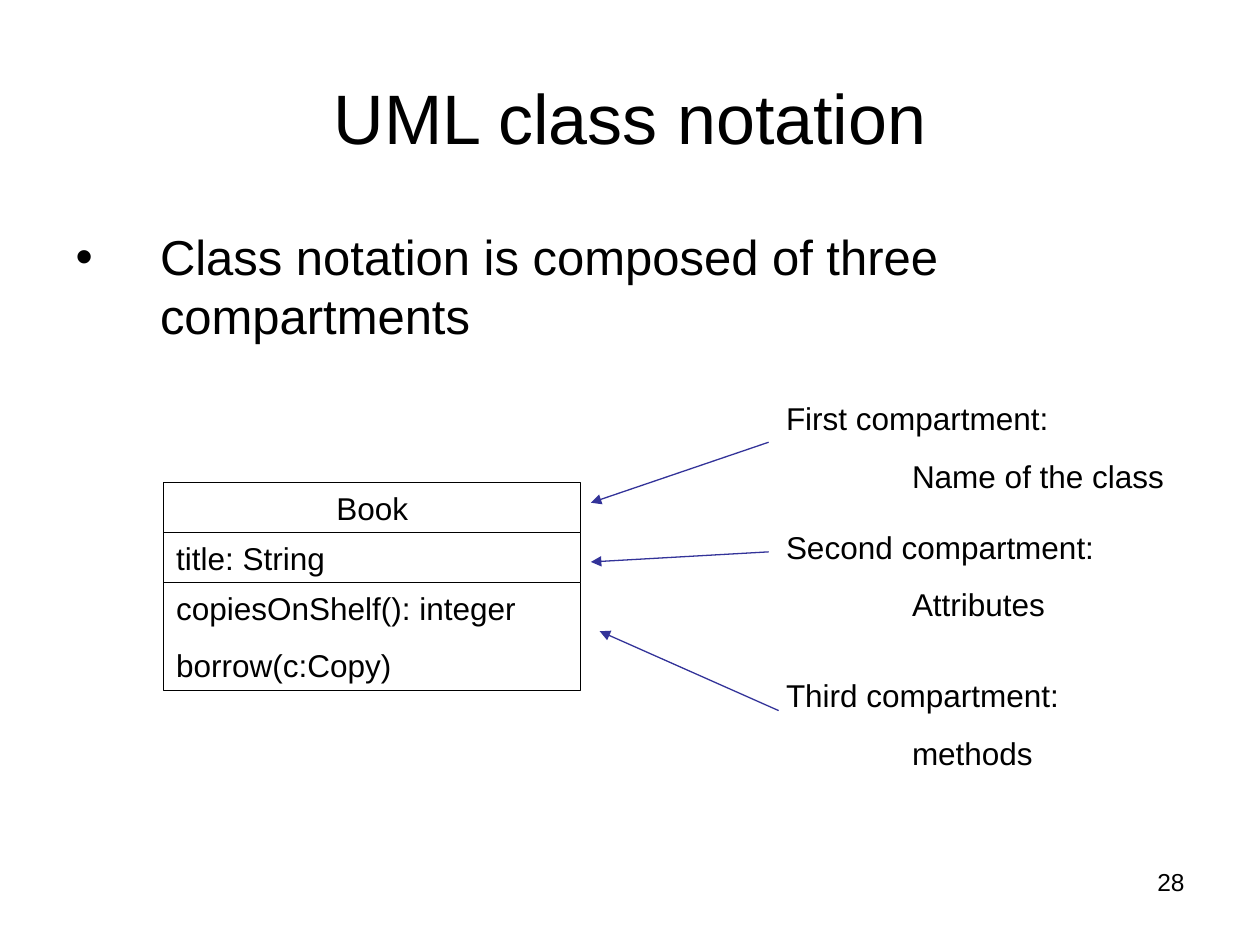
import pptx
import pptx.dml.color
import pptx.enum.shapes
import pptx.enum.text
import pptx.oxml
import pptx.oxml.ns
import pptx.util
from pptx.util import Inches

COLORS = {"text": "000000", "paper": "FFFFFF", "arrow": "333399"}
ALIGN = pptx.enum.text.PP_ALIGN


def rgb(name):
    """Return the named colour."""
    return pptx.dml.color.RGBColor.from_string(COLORS[name])


def place(shape, box):
    """Move a shape to a (left, top, width, height) box."""
    shape.left, shape.top, shape.width, shape.height = map(Inches, box)


def add_xml(parent, xml):
    """Append a DrawingML element to its parent."""
    parent.append(pptx.oxml.parse_xml(xml.replace("/>", f' {pptx.oxml.ns.nsdecls("a")}/>', 1)
                                      if xml.endswith("/>") and xml.count("<") == 1
                                      else xml.replace(">", f' {pptx.oxml.ns.nsdecls("a")}>', 1)))


def write(frame, lines, size, align=ALIGN.LEFT):
    """Write lines as paragraphs, with tabbed lines stopping at one inch."""
    frame.word_wrap = True
    for index, line in enumerate(lines):
        paragraph = frame.paragraphs[0] if index == 0 else frame.add_paragraph()
        paragraph.alignment = align
        paragraph.space_before = pptx.util.Pt(11.2 if index else 0)
        if line.startswith("\t"):
            add_xml(paragraph._p.get_or_add_pPr(),
                    f'<a:tabLst><a:tab pos="{Inches(1)}" algn="l"/></a:tabLst>')
        run = paragraph.add_run()
        run.text = line
        run.font.name = "Arial"
        run.font.size = pptx.util.Pt(size)
        run.font.color.rgb = rgb("text")


def add_title(slide, box, title):
    """Fill the title placeholder."""
    heading = slide.shapes.title
    place(heading, box)
    heading.text_frame.vertical_anchor = pptx.enum.text.MSO_ANCHOR.MIDDLE
    write(heading.text_frame, [title], 40, ALIGN.CENTER)


def add_body(slide, box, statement):
    """Fill the body placeholder with one bulleted statement."""
    body = slide.placeholders[1]
    place(body, box)
    properties = body.text_frame.paragraphs[0]._p.get_or_add_pPr()
    properties.set("marL", str(Inches(0.67)))
    properties.set("indent", str(Inches(-0.67)))
    add_xml(properties, '<a:buChar char="•"/>')
    write(body.text_frame, [statement], 28)


def add_class(slide, box, compartments):
    """Stack class compartments, sharing the box height by their line counts."""
    left, top, width, height = box
    line_pitch = 0.46
    total_lines = sum(len(lines) for lines, _ in compartments)
    padding = (height - line_pitch * (total_lines - len(compartments))) / len(compartments)
    for lines, align in compartments:
        depth = padding + line_pitch * (len(lines) - 1)
        compartment = slide.shapes.add_shape(
            pptx.enum.shapes.MSO_SHAPE.RECTANGLE,
            *map(Inches, (left, top, width, depth)))
        compartment.shadow.inherit = False
        compartment.fill.solid()
        compartment.fill.fore_color.rgb = rgb("paper")
        compartment.line.color.rgb = rgb("text")
        compartment.line.width = pptx.util.Pt(0.75)
        compartment.text_frame.vertical_anchor = pptx.enum.text.MSO_ANCHOR.TOP
        write(compartment.text_frame, lines, 18, align)
        top += depth


def add_text(slide, box, lines, size, align=ALIGN.LEFT):
    """Add a text box."""
    write(slide.shapes.add_textbox(*map(Inches, box)).text_frame, lines, size, align)


def add_arrow(slide, start, end):
    """Draw an arrow from a label towards its compartment."""
    arrow = slide.shapes.add_connector(
        pptx.enum.shapes.MSO_CONNECTOR.STRAIGHT, *map(Inches, start + end))
    arrow.line.color.rgb = rgb("arrow")
    arrow.line.width = pptx.util.Pt(0.75)
    add_xml(arrow.line._get_or_add_ln(), '<a:tailEnd type="triangle"/>')
    add_xml(arrow._element.spPr, "<a:effectLst/>")


def add_labels(slide, box, labels):
    """Explain each compartment with a label and an arrow."""
    left, top, width, height = box
    for ordinal, meaning, offset, start, end in labels:
        add_text(slide, (left, top + offset, width, height),
                 [f"{ordinal} compartment:", f"\t{meaning}"], 18)
        add_arrow(slide, start, end)


def main():
    """Build the slide and save it."""
    deck = pptx.Presentation()
    deck.slide_width, deck.slide_height = Inches(10), Inches(7.5)
    slide = deck.slides.add_slide(deck.slide_layouts[1])
    add_title(slide, (0.5, 0.3, 9, 1.25), "UML class notation")
    add_body(slide, (0.5, 1.75, 8.83, 5.31),
             "Class notation is composed of three compartments")
    add_class(slide, (1.3, 3.83, 3.31, 1.65), [
        (["Book"], ALIGN.CENTER),
        (["title: String"], ALIGN.LEFT),
        (["copiesOnShelf(): integer", "borrow(c:Copy)"], ALIGN.LEFT),
    ])
    add_labels(slide, (6.14, 3.12, 3.86, 0.86), [
        ("First", "Name of the class", 0, (6.1, 3.51), (4.69, 3.99)),
        ("Second", "Attributes", 1.02, (6.1, 4.38), (4.69, 4.46)),
        ("Third", "methods", 2.2, (6.18, 5.64), (4.76, 5.01)),
    ])
    add_text(slide, (7.17, 6.83, 2.33, 0.52), ["28"], 14, ALIGN.RIGHT)
    deck.save("out.pptx")


if __name__ == "__main__":
    main()
